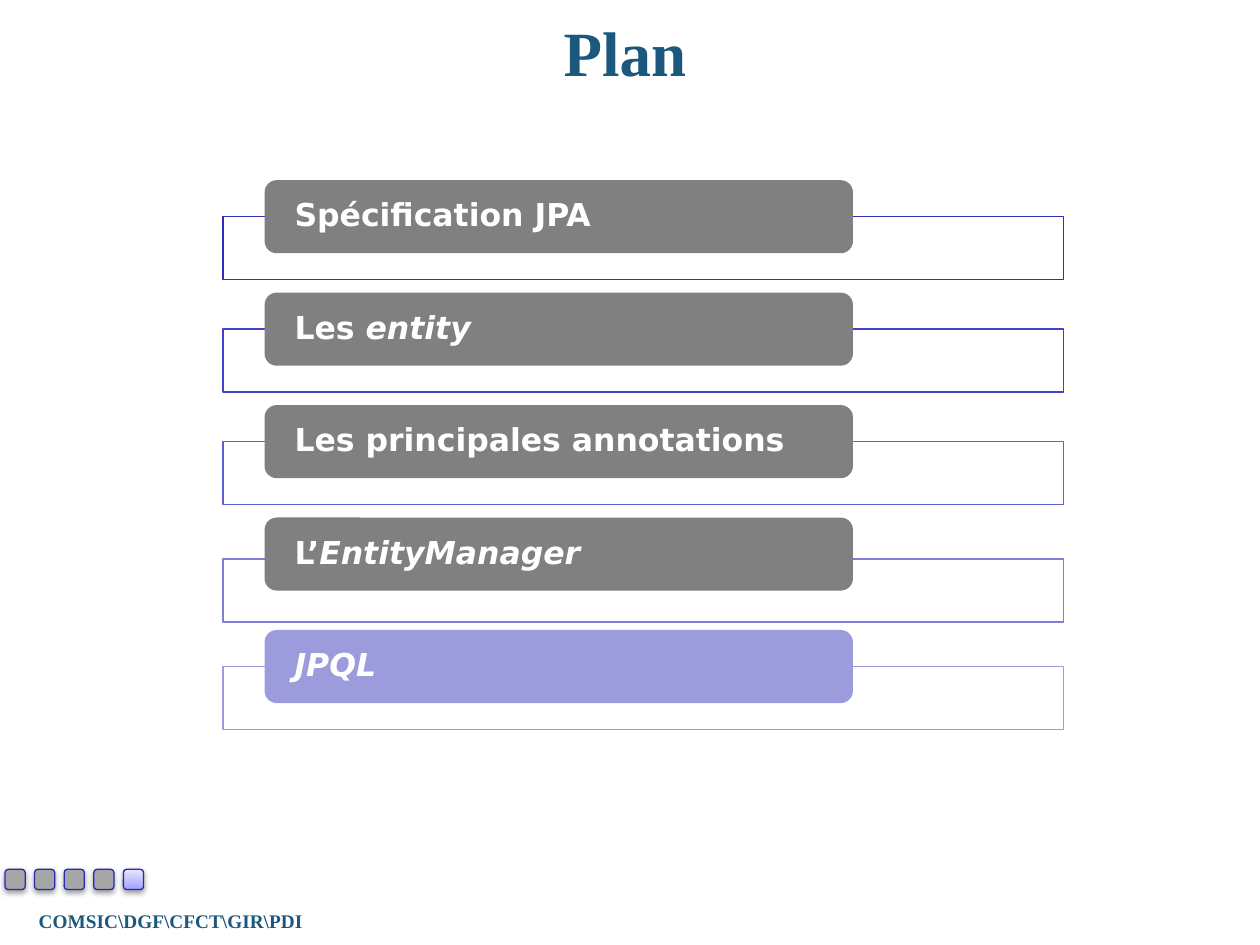
from dataclasses import dataclass

from lxml import etree
from pptx import Presentation
from pptx.dml.color import RGBColor
from pptx.enum.shapes import MSO_SHAPE
from pptx.enum.text import MSO_ANCHOR, MSO_AUTO_SIZE, PP_ALIGN
from pptx.oxml.ns import qn
from pptx.util import Inches, Pt

RECT = MSO_SHAPE.RECTANGLE
ROUND = MSO_SHAPE.ROUNDED_RECTANGLE
MIDDLE = MSO_ANCHOR.MIDDLE
GROW = MSO_AUTO_SIZE.SHAPE_TO_FIT_TEXT
CENTER = PP_ALIGN.CENTER
LEFT = PP_ALIGN.LEFT


@dataclass(frozen=True)
class Theme:
    serif: str = "Times New Roman"
    sans: str = "DejaVu Sans"
    navy: str = "1B587C"
    white: str = "FFFFFF"
    done: str = "808080"
    now: str = "9C9CDD"
    step: str = "A6A6A6"
    edge: str = "2929B8"
    shade: str = "000000"
    glow: tuple = ((0, "9F9FFF"), (35, "BBBBFF"), (100, "E5E5FF"))
    title: int = 36
    topic: int = 18
    foot: int = 11
    line: float = 0.75


@dataclass(frozen=True)
class Topic:
    plain: str
    slant: str
    edge: str
    fill: str
    drop: float = 0.29


THEME = Theme()
TOPICS = (
    Topic("Spécification JPA", "", "2E2EB9", THEME.done),
    Topic("Les ", "entity", "4141CB", THEME.done),
    Topic("Les principales annotations", "", "6060D0", THEME.done),
    Topic("L’", "EntityManager", "7E7ED6", THEME.done, 0.33),
    Topic("", "JPQL", "9C9CDD", THEME.now),
)
BAR_TOP, BAR_END = 1.43, 5.0
BAR_GAP = (BAR_END - BAR_TOP) / (len(TOPICS) - 1)
STEP_LEFT, STEP_GAP, STEP_SIZE = 0.04, 0.235, 0.16


def add_box(slide, kind, left: float, top: float, width: float, height: float,
            fill: str, edge: str = ""):
    box = slide.shapes.add_shape(
        kind, Inches(left), Inches(top), Inches(width), Inches(height))
    box.shadow.inherit = False
    box.fill.solid()
    box.fill.fore_color.rgb = RGBColor.from_string(fill)
    if edge:
        box.line.color.rgb = RGBColor.from_string(edge)
        box.line.width = Pt(THEME.line)
    else:
        box.line.fill.background()
    return box


def style_run(run, face: str, size: int, color: str, slant: bool = False) -> None:
    font = run.font
    font.name, font.size = face, Pt(size)
    font.bold = True
    font.italic = slant
    font.color.rgb = RGBColor.from_string(color)


def set_label(shape, text: str, size: int) -> None:
    frame = shape.text_frame
    frame.text = text
    frame.word_wrap = True
    frame.vertical_anchor = MIDDLE
    frame.auto_size = GROW
    para = frame.paragraphs[0]
    para.alignment = CENTER
    style_run(para.runs[0], THEME.serif, size, THEME.navy)


def add_alpha(color, share: int) -> None:
    etree.SubElement(color, qn("a:alpha"), val=str(share * 1000))


def add_topic(slide, topic: Topic, top: float) -> None:
    panel = add_box(slide, RECT, 1.77, top + topic.drop, 6.67, 0.5,
                    THEME.white, topic.edge)
    add_alpha(panel.element.spPr.find(qn("a:solidFill"))[0], 90)
    bar = add_box(slide, ROUND, 2.1, top, 4.67, 0.58, topic.fill)
    frame = bar.text_frame
    frame.word_wrap = True
    frame.vertical_anchor = MIDDLE
    frame.margin_left = frame.margin_right = Inches(0.21)
    frame.margin_top = frame.margin_bottom = 0
    para = frame.paragraphs[0]
    para.alignment = LEFT
    para.line_spacing = 0.9
    for text, slant in ((topic.plain, False), (topic.slant, True)):
        if text:
            run = para.add_run()
            run.text = text
            style_run(run, THEME.sans, THEME.topic, THEME.white, slant)


def add_shade(shape) -> None:
    effects = shape.element.spPr.find(qn("a:effectLst"))
    shade = etree.SubElement(
        effects, qn("a:outerShdw"), blurRad=str(Pt(3.1)), dist=str(Pt(1.6)),
        dir="5400000", rotWithShape="0")
    add_alpha(etree.SubElement(shade, qn("a:srgbClr"), val=THEME.shade), 38)


def add_glow(shape) -> None:
    shape.fill.gradient()
    shape.fill.gradient_angle = 90
    stops = shape.element.spPr.find(qn("a:gradFill")).find(qn("a:gsLst"))
    for stop in list(stops):
        stops.remove(stop)
    for place, color in THEME.glow:
        stop = etree.SubElement(stops, qn("a:gs"), pos=str(place * 1000))
        etree.SubElement(stop, qn("a:srgbClr"), val=color)


def add_step(slide, index: int, active: bool) -> None:
    step = add_box(slide, ROUND, STEP_LEFT + index * STEP_GAP, 6.9,
                   STEP_SIZE, STEP_SIZE, THEME.step, THEME.edge)
    add_shade(step)
    if active:
        add_glow(step)


def main() -> None:
    deck = Presentation()
    deck.slide_width, deck.slide_height = Inches(10), Inches(7.5)
    slide = deck.slides.add_slide(deck.slide_layouts[5])
    foot = slide.shapes.add_textbox(
        Inches(-0.2), Inches(7.16), Inches(3.11), Inches(0.29))
    set_label(foot, "COMSIC\\DGF\\CFCT\\GIR\\PDI", THEME.foot)
    title = slide.shapes.title
    title.left, title.top = Inches(0.43), Inches(0.05)
    title.width, title.height = Inches(9.06), Inches(0.71)
    set_label(title, "Plan", THEME.title)
    for index, topic in enumerate(TOPICS):
        add_topic(slide, topic, BAR_TOP + index * BAR_GAP)
    for index, topic in enumerate(TOPICS):
        add_step(slide, index, topic.fill == THEME.now)
    deck.save("out.pptx")


if __name__ == "__main__":
    main()
